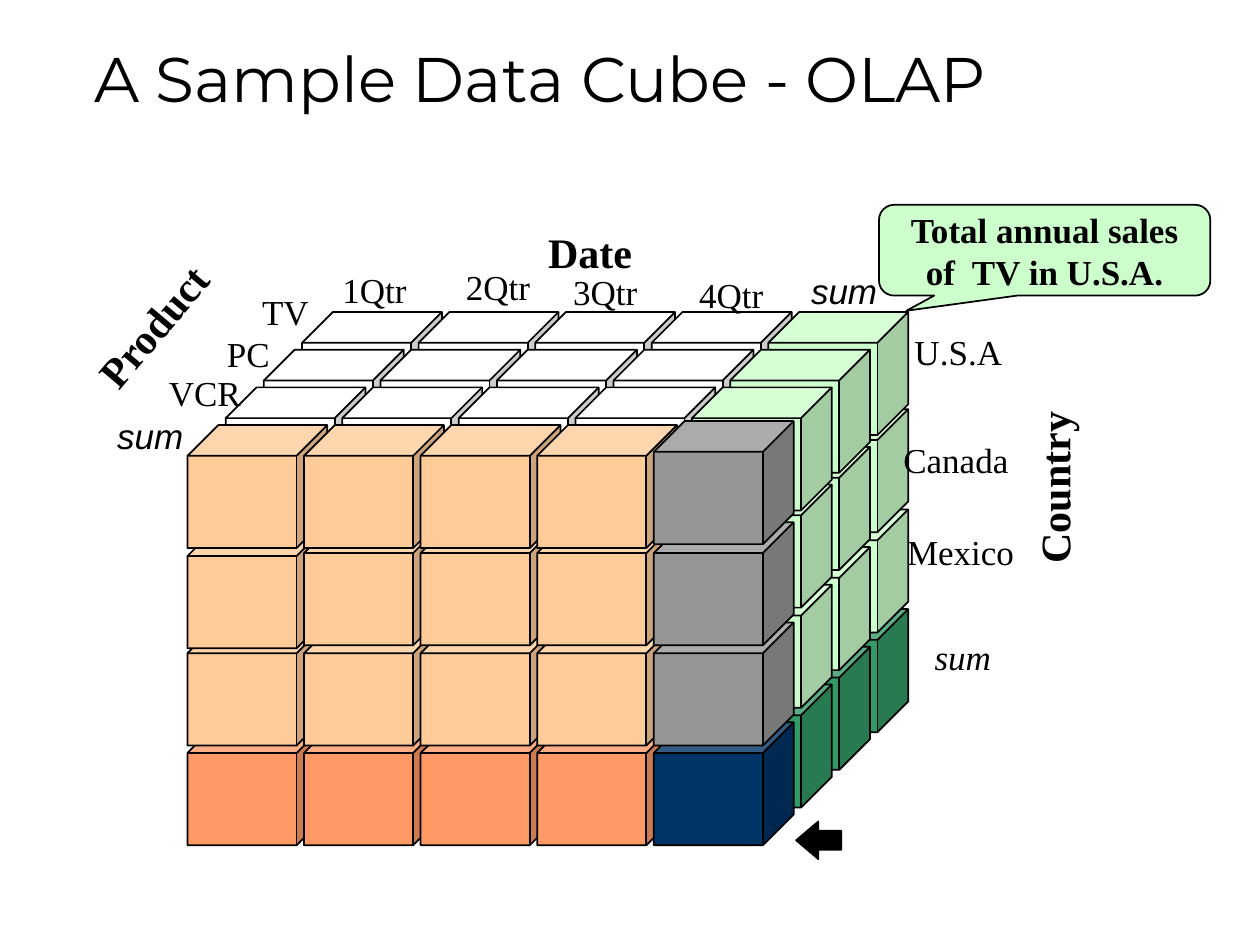
from dataclasses import dataclass

from pptx import Presentation
from pptx.dml.color import RGBColor
from pptx.enum.shapes import MSO_SHAPE
from pptx.enum.text import MSO_ANCHOR, MSO_AUTO_SIZE, PP_ALIGN
from pptx.util import Cm, Pt

CUBE = MSO_SHAPE.CUBE
CALLOUT = MSO_SHAPE.ROUNDED_RECTANGULAR_CALLOUT
LEFT_ARROW = MSO_SHAPE.LEFT_ARROW
MIDDLE, TOP = MSO_ANCHOR.MIDDLE, MSO_ANCHOR.TOP
FIT_SHAPE = MSO_AUTO_SIZE.SHAPE_TO_FIT_TEXT
LEFT, CENTER = PP_ALIGN.LEFT, PP_ALIGN.CENTER


@dataclass(frozen=True)
class Theme:
    ink: str = "000000"
    detail: str = "FFFFFF"
    product_total: str = "FFCC99"
    product_country_total: str = "FF9966"
    date_total: str = "CCFFCC"
    date_country_total: str = "339966"
    product_date_total: str = "969696"
    grand_total: str = "003366"
    title_font: str = "Montserrat"
    body_font: str = "Times New Roman"
    sum_font: str = "Arial"
    title_size: int = 36
    axis_size: int = 24
    label_size: int = 20
    outline: int = 1


THEME = Theme()

COLUMNS, LAYERS = 5, 4
SUM_COLUMN, FRONT = COLUMNS - 1, LAYERS - 1
ROW_OFFSETS = (0, 1.96, 3.98, 5.99)
SUM_ROW = len(ROW_OFFSETS) - 1
LOWER_ROWS = range(SUM_ROW, 0, -1)
CUBE_LEFT, CUBE_TOP = 6.09, 6.29
CUBE_WIDTH, CUBE_HEIGHT = 2.82, 2.48
COLUMN_STEP, DEPTH_X, DEPTH_Y = 2.35, 0.77, 0.76
NUDGES = {(FRONT, 0, 1): 0.06, (FRONT, SUM_COLUMN, 0): -0.08}

AXES = (
    ("Date", 10.8, 4.45, 2.3, 0),
    ("Product", 1.37, 5.92, 3.43, 310.2),
    ("Country", 19.46, 9.19, 3.56, 270),
)
MEMBERS = (
    ("TV", 5.03, 5.74, 1.45),
    ("PC", 4.32, 6.58, 1.37),
    ("VCR", 3.15, 7.37, 1.96),
    ("1Qtr", 6.65, 5.28, 1.8),
    ("2Qtr", 9.14, 5.23, 1.8),
    ("3Qtr", 11.3, 5.33, 1.8),
    ("4Qtr", 13.84, 5.38, 1.8),
    ("U.S.A", 18.14, 6.53, 2.36),
    ("Canada", 17.96, 8.71, 2.62),
    ("Mexico", 18.03, 10.57, 2.67),
)
SUMS = (
    (2.11, 8.23, 1.95, THEME.sum_font),
    (16.1, 5.31, 1.95, THEME.sum_font),
    (18.59, 12.68, 1.65, THEME.body_font),
)


def write_text(frame, text, *, size=THEME.label_size, font=THEME.body_font,
               bold=False, italic=False, align=CENTER, anchor=TOP, wrap=False):
    """Fill a text frame, one paragraph per line of text."""
    frame.text = text
    frame.word_wrap = wrap
    frame.vertical_anchor = anchor
    for paragraph in frame.paragraphs:
        paragraph.alignment = align
        paragraph.font.size = Pt(size)
        paragraph.font.name = font
        paragraph.font.bold = bold
        paragraph.font.italic = italic
        paragraph.font.color.rgb = RGBColor.from_string(THEME.ink)


class CubeSlide:
    """Draws elements on one slide in the style of a theme."""

    def __init__(self, slide, theme):
        self.slide = slide
        self.theme = theme

    def solid(self, kind, left, top, width, height, fill, adjustments):
        """Add a filled, outlined preset shape."""
        solid = self.slide.shapes.add_shape(
            kind, Cm(left), Cm(top), Cm(width), Cm(height))
        solid.shadow.inherit = False
        solid.fill.solid()
        solid.fill.fore_color.rgb = RGBColor.from_string(fill)
        solid.line.color.rgb = RGBColor.from_string(self.theme.ink)
        solid.line.width = Pt(self.theme.outline)
        for index, value in enumerate(adjustments):
            solid.adjustments[index] = value
        return solid

    def title(self, text, left, top, width, height):
        """Add the slide heading."""
        heading = self.slide.shapes.add_textbox(
            Cm(left), Cm(top), Cm(width), Cm(height))
        write_text(heading.text_frame, text, size=self.theme.title_size,
                   font=self.theme.title_font, align=LEFT, anchor=MIDDLE,
                   wrap=True)

    def label(self, text, left, top, width, height=1.12, rotation=0, **style):
        """Add an unwrapped label that fits its text."""
        label = self.slide.shapes.add_textbox(
            Cm(left), Cm(top), Cm(width), Cm(height))
        label.rotation = rotation
        write_text(label.text_frame, text, **style)
        label.text_frame.auto_size = FIT_SHAPE

    def callout(self, text, left, top, width, height):
        """Add a speech bubble that explains one cell."""
        bubble = self.solid(CALLOUT, left, top, width, height,
                            self.theme.date_total, (-0.417, 0.667, 0.167))
        write_text(bubble.text_frame, text, bold=True, anchor=MIDDLE)

    def cell(self, layer, column, row):
        """Add the cube at one grid position, coloured by its totals."""
        left = CUBE_LEFT + column * COLUMN_STEP - layer * DEPTH_X
        top = CUBE_TOP + ROW_OFFSETS[row] + layer * DEPTH_Y
        top += NUDGES.get((layer, column, row), 0)
        self.solid(CUBE, left, top, CUBE_WIDTH, CUBE_HEIGHT,
                   self.cell_color(layer, column, row), (0.25,))

    def cell_color(self, layer, column, row):
        """Return the colour for the dimensions a cell sums over."""
        theme = self.theme
        colors = {
            (False, False): (theme.detail, theme.detail),
            (False, True): (theme.date_total, theme.date_country_total),
            (True, False): (theme.product_total, theme.product_country_total),
            (True, True): (theme.product_date_total, theme.grand_total),
        }
        return colors[layer == FRONT, column == SUM_COLUMN][row == SUM_ROW]

    def data_cube(self):
        """Add every visible cell from back to front."""
        for layer in range(FRONT):
            for row in LOWER_ROWS:
                self.cell(layer, SUM_COLUMN, row)
        for column in range(COLUMNS):
            for layer in range(FRONT):
                self.cell(layer, column, 0)
        for column in range(COLUMNS):
            for row in LOWER_ROWS:
                self.cell(FRONT, column, row)
        for column in range(COLUMNS):
            self.cell(FRONT, column, 0)


def main():
    """Build and save the slide."""
    deck = Presentation()
    deck.slide_width, deck.slide_height = Cm(25.4), Cm(19.05)
    page = CubeSlide(deck.slides.add_slide(deck.slide_layouts[6]), THEME)
    page.title("A Sample Data Cube - OLAP", 1.65, 0.58, 20.22, 1.96)
    page.callout("Total annual sales\nof  TV in U.S.A.", 17.72, 4.13, 6.68, 1.83)
    for text, left, top, width, rotation in AXES:
        page.label(text, left, top, width, 1.27, rotation,
                   size=THEME.axis_size, bold=True, align=LEFT)
    page.solid(LEFT_ARROW, 16.05, 16.56, 0.91, 0.76, THEME.ink, (0.5, 0.59))
    page.data_cube()
    for text, left, top, width in MEMBERS:
        page.label(text, left, top, width)
    for left, top, width, font in SUMS:
        page.label("sum", left, top, width, font=font, italic=True, align=LEFT)
    deck.save("out.pptx")


if __name__ == "__main__":
    main()
